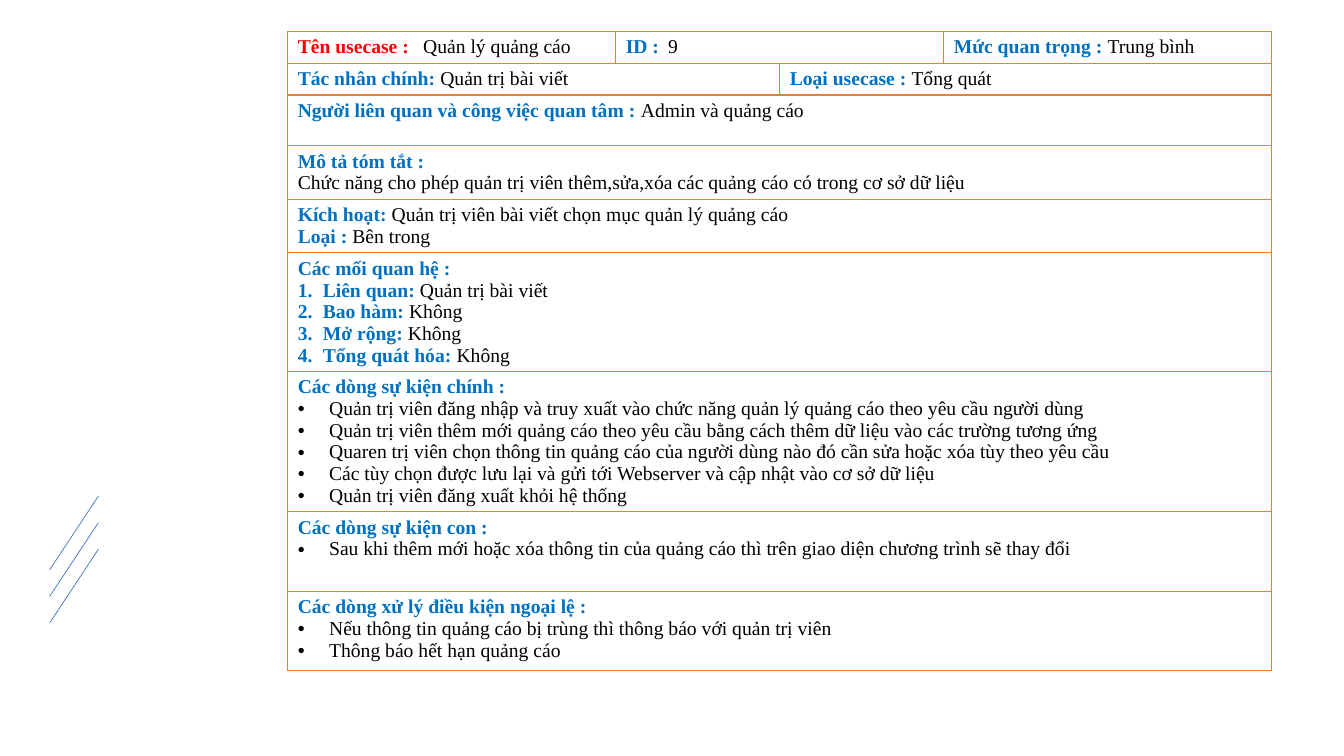
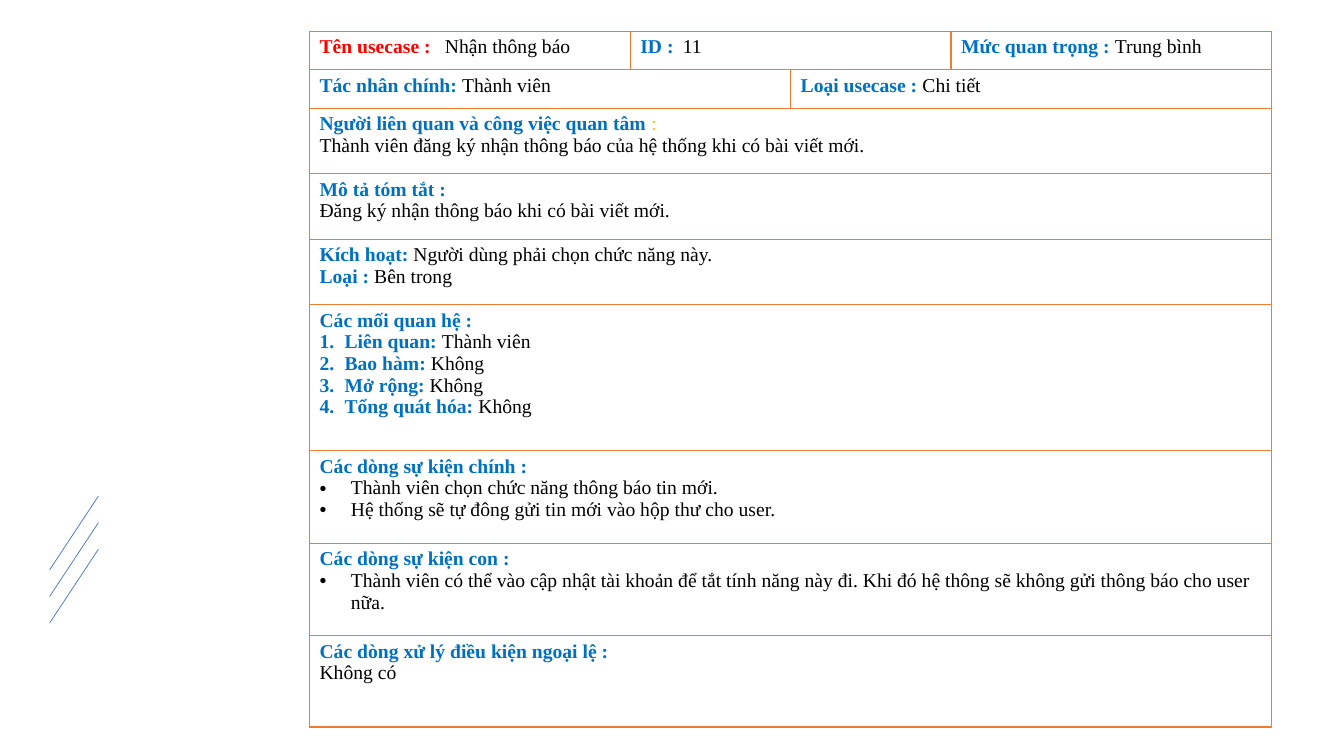
from dataclasses import dataclass

from lxml.etree import SubElement
from pptx import Presentation
from pptx.dml.color import RGBColor
from pptx.enum.shapes import MSO_CONNECTOR
from pptx.oxml.ns import qn
from pptx.util import Cm, Pt


@dataclass(frozen=True)
class Theme:
    font: str = "Times New Roman"
    text_size: float = 14
    name: str = "FF0000"
    label: str = "0070C0"
    value: str = "000000"
    accent: str = "FFC000"
    border: str = "ED7D31"
    border_width: float = 1
    diagonal: str = "4472C4"
    diagonal_width: float = 0.5


@dataclass(frozen=True)
class Line:
    runs: tuple
    marker: str = ""
    tab: float = 0


@dataclass(frozen=True)
class UseCase:
    title: str
    number: str
    actor: str
    kind: str
    stakeholders: list
    summary: str
    trigger: str
    related: str
    main_flow: list
    sub_flow: list
    exceptions: list
    left: float
    row_heights: tuple


THEME = Theme()
TABLE_TOP = 0.79
TABLE_RIGHT = 32.05
STARTS = {1: (0,), 2: (0, 2), 3: (0, 1, 3)}
INDENTS = {"number": 0.63, "bullet": 0.79}


def heading(text):
    return Line(((text, "label"),))


def plain(text, marker=""):
    return Line(((text, "value"),), marker)


def field(label, value, marker=""):
    return Line(((label + " ", "label"), (value, "value")), marker)


def tabbed(label, value, tab, role="label"):
    return Line(((label + "\t", role), (value, "value")), tab=tab)


def bullets(texts):
    return [plain(text, "bullet") for text in texts]


def use_case_rows(case):
    relations = (("Liên quan:", case.related), ("Bao hàm:", "Không"),
                 ("Mở rộng:", "Không"), ("Tổng quát hóa:", "Không"))
    return [
        [[tabbed("Tên usecase :", case.title, 3.16, "name")],
         [tabbed("ID :", case.number, 1.07)],
         [field("Mức quan trọng :", "Trung bình")]],
        [[field("Tác nhân chính:", case.actor)],
         [field("Loại usecase :", case.kind)]],
        [case.stakeholders],
        [[heading("Mô tả tóm tắt :"), plain(case.summary)]],
        [[field("Kích hoạt:", case.trigger), field("Loại :", "Bên trong")]],
        [[heading("Các mối quan hệ :")]
         + [field(label, value, "number") for label, value in relations]],
        [[heading("Các dòng sự kiện chính :")] + case.main_flow],
        [[heading("Các dòng sự kiện con :")] + case.sub_flow],
        [[heading("Các dòng xử lý điều kiện ngoại lệ :")] + case.exceptions],
    ]


def format_paragraph(paragraph, line):
    properties = paragraph._p.get_or_add_pPr()
    if line.marker:
        indent = Cm(INDENTS[line.marker])
        properties.set("marL", str(indent))
        properties.set("indent", str(-indent))
    if line.marker == "number":
        SubElement(properties, qn("a:buAutoNum"), type="arabicPeriod")
    elif line.marker == "bullet":
        SubElement(properties, qn("a:buFont"), typeface="Arial")
        SubElement(properties, qn("a:buChar"), char="•")
    if line.tab:
        tabs = SubElement(properties, qn("a:tabLst"))
        SubElement(tabs, qn("a:tab"), pos=str(Cm(line.tab)), algn="l")


def write_lines(text_frame, lines):
    for index, line in enumerate(lines):
        paragraph = text_frame.add_paragraph() if index else text_frame.paragraphs[0]
        format_paragraph(paragraph, line)
        for text, role in line.runs:
            run = paragraph.add_run()
            run.text = text
            run.font.name = THEME.font
            run.font.size = Pt(THEME.text_size)
            run.font.bold = role in ("name", "label")
            run.font.color.rgb = RGBColor.from_string(getattr(THEME, role))


def style_cell(cell):
    properties = cell._tc.get_or_add_tcPr()
    for edge in ("a:lnL", "a:lnR", "a:lnT", "a:lnB"):
        border = SubElement(properties, qn(edge), w=str(Pt(THEME.border_width)))
        fill = SubElement(border, qn("a:solidFill"))
        SubElement(fill, qn("a:srgbClr"), val=THEME.border)
    cell.fill.background()


def add_use_case_table(slide, case, left, top, width):
    rows = use_case_rows(case)
    frame = slide.shapes.add_table(len(rows), 4, Cm(left), Cm(top),
                                   Cm(width), Cm(sum(case.row_heights)))
    table = frame.table
    table.first_row = table.horz_banding = False
    for column, sixths in zip(table.columns, (2, 1, 1, 2)):
        column.width = Cm(width * sixths / 6)
    for row, height in zip(table.rows, case.row_heights):
        row.height = Cm(height)
    for cell in table.iter_cells():
        style_cell(cell)
    for row_index, contents in enumerate(rows):
        starts = STARTS[len(contents)]
        for start, end, lines in zip(starts, starts[1:] + (4,), contents):
            cell = table.cell(row_index, start)
            if end - start > 1:
                cell.merge(table.cell(row_index, end - 1))
            write_lines(cell.text_frame, lines)


def add_master_diagonals(master, slide, left, top, width, height, gap):
    for index in range(3):
        offset = top + index * gap
        diagonal = slide.shapes.add_connector(
            MSO_CONNECTOR.STRAIGHT, Cm(left), Cm(offset + height),
            Cm(left + width), Cm(offset))
        diagonal.name = f"Diagonal line {index + 1}"
        diagonal.line.color.rgb = RGBColor.from_string(THEME.diagonal)
        diagonal.line.width = Pt(THEME.diagonal_width)
        SubElement(diagonal.element.spPr, qn("a:effectLst"))
        diagonal.element.nvCxnSpPr.cNvPr.set("id", str(20 + index))
        master.shapes.element.append(diagonal.element)


def add_use_case_slide(presentation, case):
    slide = presentation.slides.add_slide(presentation.slide_layouts[6])
    add_use_case_table(slide, case, case.left, TABLE_TOP, TABLE_RIGHT - case.left)
    return slide


ADVERTISING = UseCase(
    title="Quản lý quảng cáo", number="9", actor="Quản trị bài viết", kind="Tổng quát",
    stakeholders=[field("Người liên quan và công việc quan tâm :", "Admin và quảng cáo")],
    summary="Chức năng cho phép quản trị viên thêm,sửa,xóa các quảng cáo có trong cơ sở dữ liệu",
    trigger="Quản trị viên bài viết chọn mục quản lý quảng cáo",
    related="Quản trị bài viết",
    main_flow=bullets([
        "Quản trị viên đăng nhập và truy xuất vào chức năng quản lý quảng cáo theo yêu cầu người dùng",
        "Quản trị viên thêm mới quảng cáo theo yêu cầu bằng cách thêm dữ liệu vào các trường tương ứng",
        "Quaren trị viên chọn thông tin quảng cáo của người dùng nào đó cần sửa hoặc xóa tùy theo yêu cầu",
        "Các tùy chọn được lưu lại và gửi tới Webserver và cập nhật vào cơ sở dữ liệu",
        "Quản trị viên đăng xuất khỏi hệ thống",
    ]),
    sub_flow=bullets([
        "Sau khi thêm mới hoặc xóa thông tin của quảng cáo thì trên giao diện chương trình sẽ thay đổi",
    ]),
    exceptions=bullets([
        "Nếu thông tin quảng cáo bị trùng thì thông báo với quản trị viên",
        "Thông báo hết hạn quảng cáo",
    ]),
    left=7.25,
    row_heights=(0.8, 0.8, 1.28, 1.35, 1.35, 2.98, 3.54, 2, 2),
)

NOTIFICATION = UseCase(
    title="Nhận thông báo", number="11", actor="Thành viên", kind="Chi tiết",
    stakeholders=[
        Line((("Người liên quan và công việc quan tâm ", "label"), (":", "accent"))),
        plain("Thành viên đăng ký nhận thông báo của hệ thống khi có bài viết mới."),
    ],
    summary="Đăng ký nhận thông báo khi có bài viết mới.",
    trigger="Người dùng phải chọn chức năng này.",
    related="Thành viên",
    main_flow=bullets([
        "Thành viên chọn chức năng thông báo tin mới.",
        "Hệ thống sẽ tự đông gửi tin mới vào hộp thư cho user.",
    ]),
    sub_flow=bullets([
        "Thành viên có thể vào cập nhật tài khoản để tắt tính năng này đi. "
        "Khi đó hệ thông sẽ không gửi thông báo cho user nữa.",
    ]),
    exceptions=[plain("Không có")],
    left=7.8,
    row_heights=(0.97, 0.97, 1.65, 1.65, 1.65, 3.68, 2.33, 2.33, 2.3),
)


def main():
    presentation = Presentation()
    presentation.slide_width = Cm(33.87)
    presentation.slide_height = Cm(19.05)
    slides = [add_use_case_slide(presentation, case) for case in (ADVERTISING, NOTIFICATION)]
    add_master_diagonals(presentation.slide_master, slides[0], 1.25, 12.5, 1.23, 1.86, 0.67)
    presentation.save("out.pptx")


if __name__ == "__main__":
    main()
